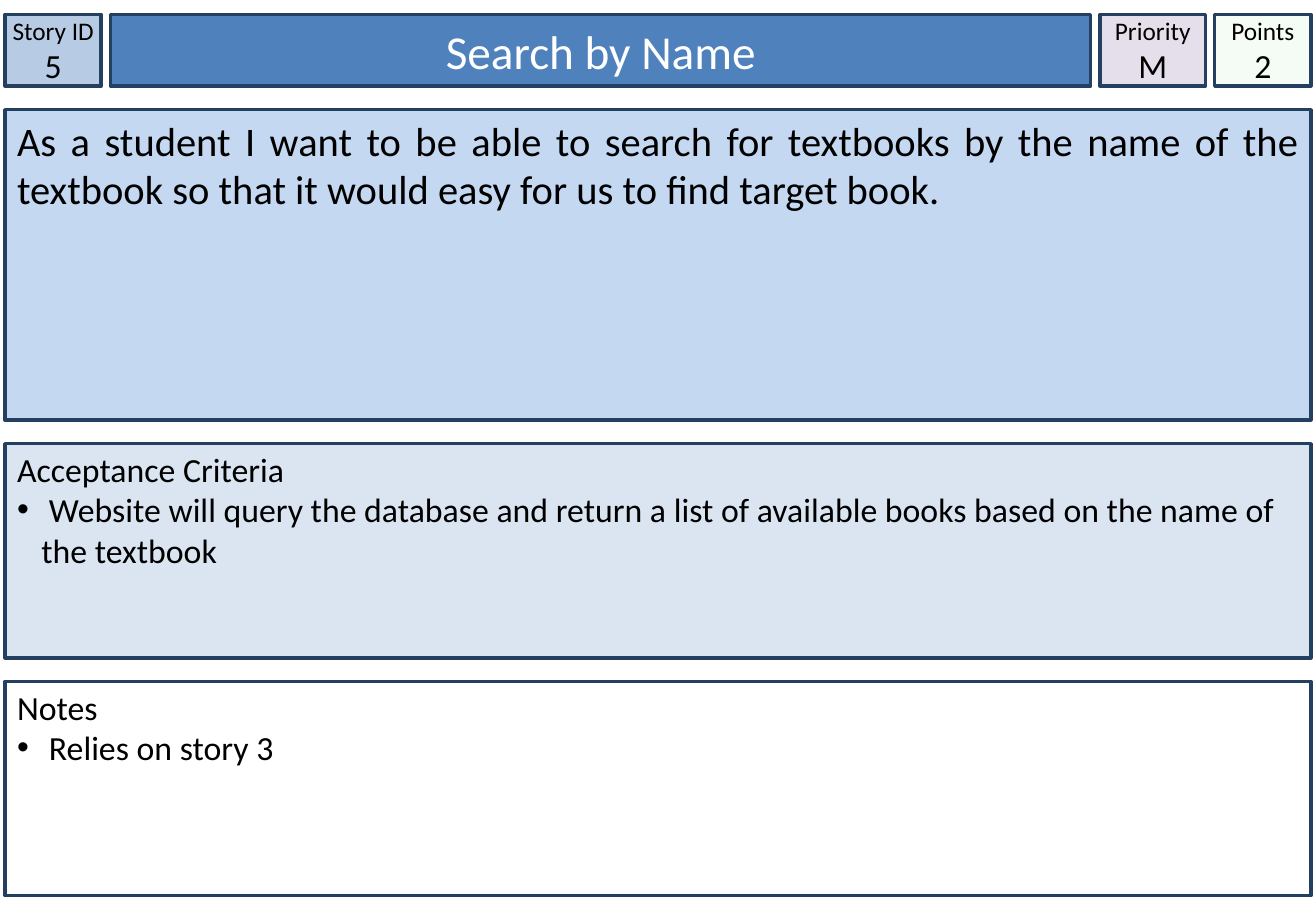
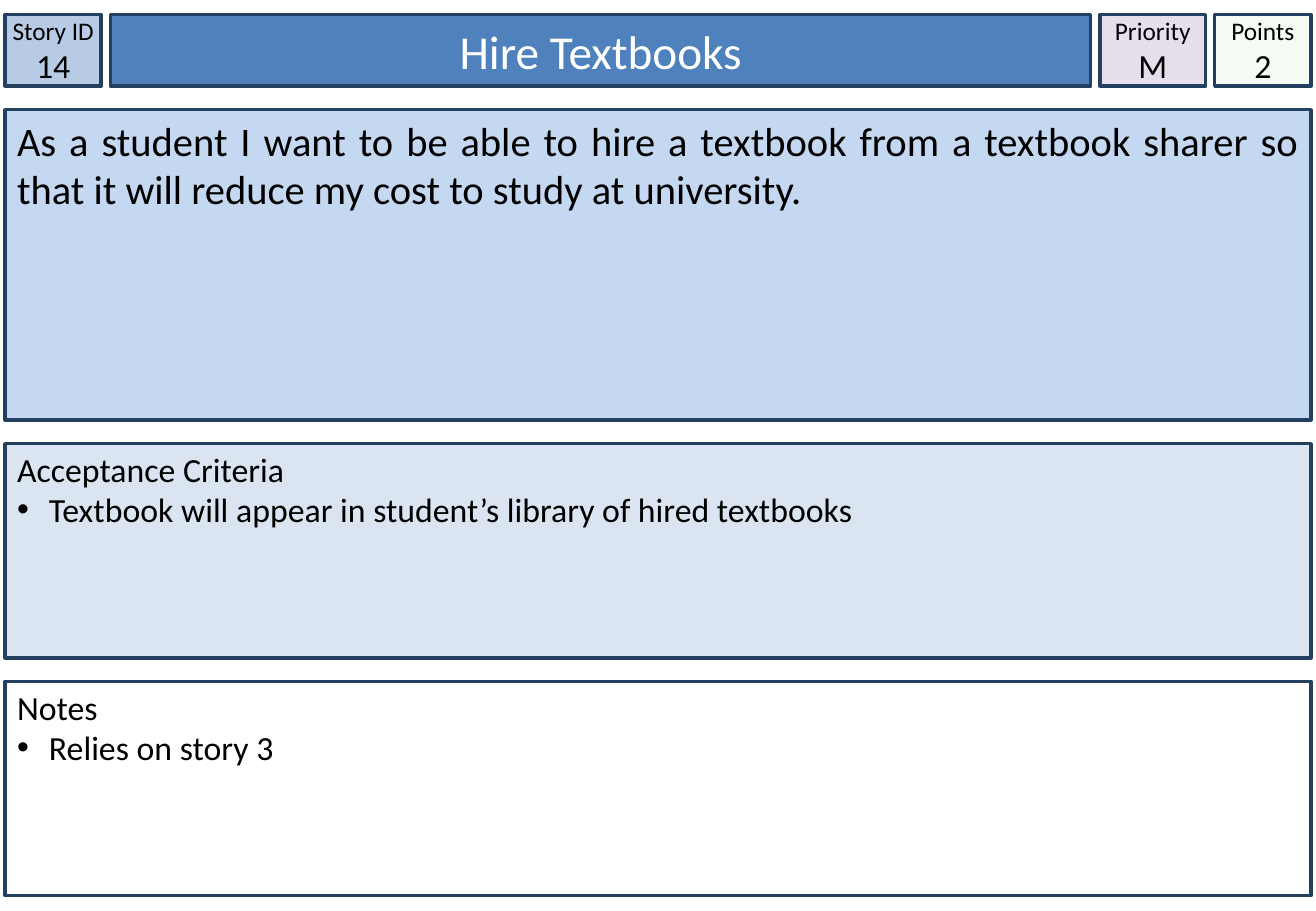
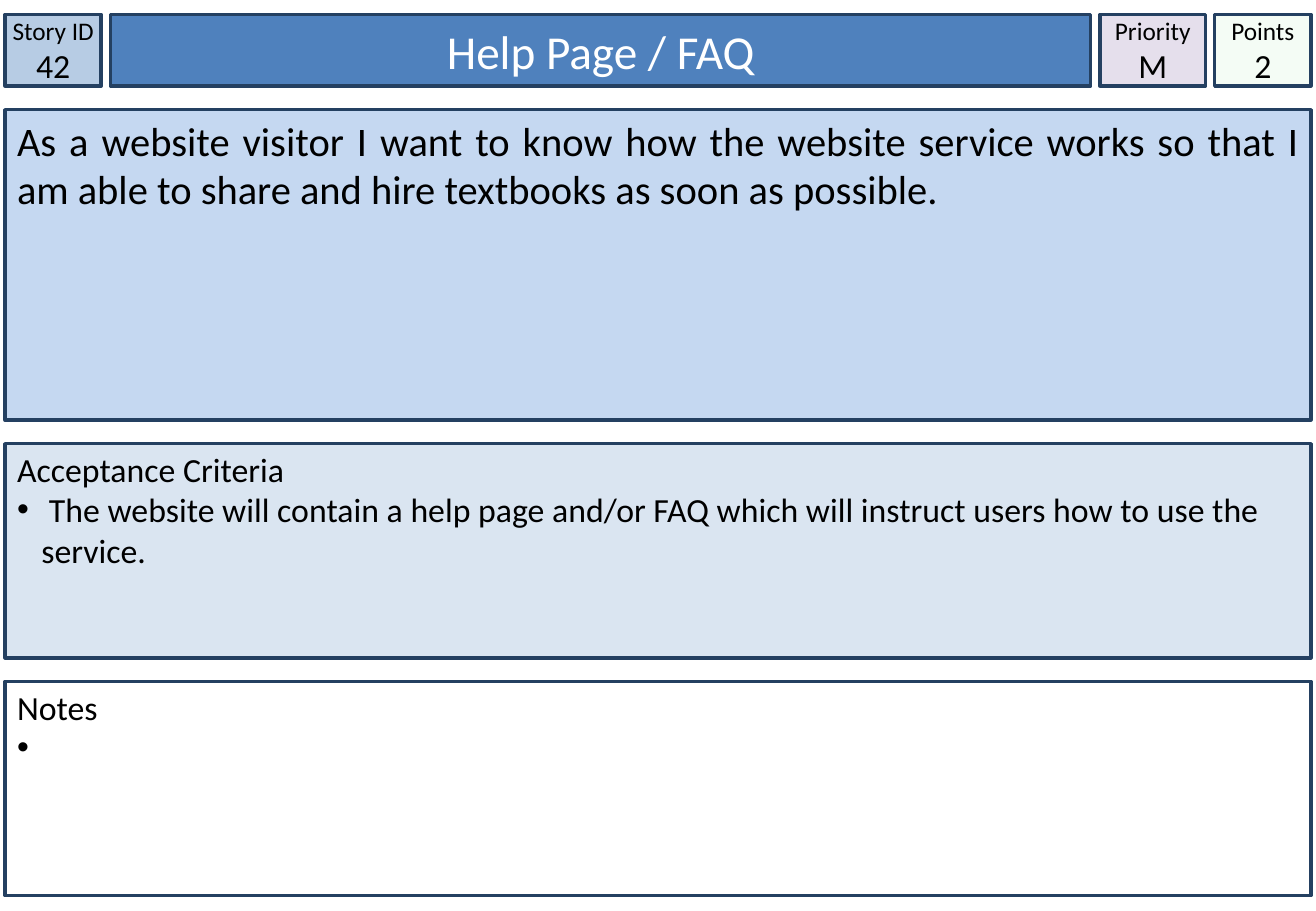
from dataclasses import dataclass
from typing import Any

import lxml.etree
import pptx
import pptx.dml.color
import pptx.enum.shapes
import pptx.enum.text
import pptx.oxml.ns
import pptx.util

Pt = pptx.util.Pt
Align = pptx.enum.text.PP_ALIGN
Anchor = pptx.enum.text.MSO_ANCHOR
qn = pptx.oxml.ns.qn


# Theme and layout, all lengths in points
@dataclass(frozen=True)
class Theme:
    font: str = "Calibri"
    ink: str = "000000"
    white: str = "FFFFFF"
    edge: str = "244061"
    head: str = "4F81BD"
    code: str = "B7CCE4"
    rank: str = "E5DFEC"
    score: str = "CCF0CD"
    story: str = "C5D8F1"
    tests: str = "DAE5F1"
    title: float = 28
    lead: float = 24
    body: float = 20
    label: float = 15
    line: float = 2


THEME = Theme()
PAGE = (780, 540)
LEFT, TOP, WIDTH = 3, 8.5, 774
GAP_X, GAP_Y = 5.5, 14
COLS = (57, 581, 62.5, 57)
ROWS = (42.5, 184, 127, 127)
INDENT = 14.4


@dataclass(frozen=True)
class Box:
    left: float
    top: float
    width: float
    height: float


@dataclass(frozen=True)
class Story:
    code: str
    title: str
    text: str
    test: str
    note: str
    rank: str = "M"
    score: str = "2"


STORIES = (
    Story(
        "5",
        "Search by Name",
        "As a student I want to be able to search for textbooks by the name of "
        "the textbook so that it would easy for us to find target book.",
        " Website will query the database and return a list of available books "
        "based on the name of the textbook",
        " Relies on story 3",
    ),
    Story(
        "14",
        "Hire Textbooks",
        "As a student I want to be able to hire a textbook from a textbook "
        "sharer so that it will reduce my cost to study at university.",
        " Textbook will appear in student’s library of hired textbooks",
        " Relies on story 3",
    ),
    Story(
        "42",
        "Help Page / FAQ",
        "As a website visitor I want to know how the website service works so "
        "that I am able to share and hire textbooks as soon as possible.",
        " The website will contain a help page and/or FAQ which will instruct "
        "users how to use the service.",
        " ",
    ),
)


def starts(first: float, sizes: tuple[float, ...], gap: float) -> list[float]:
    """Start of each item in a run of sizes with equal gaps."""
    return [first + sum(sizes[:i]) + gap * i for i in range(len(sizes))]


COL_X = starts(LEFT, COLS, GAP_X)
ROW_Y = starts(TOP, ROWS, GAP_Y)


def cell(col: int) -> Box:
    return Box(COL_X[col], TOP, COLS[col], ROWS[0])


def band(row: int) -> Box:
    return Box(LEFT, ROW_Y[row], WIDTH, ROWS[row])


# Text
def write(frame: Any, text: str, *, size: float, color: str = THEME.ink,
          align: Any = Align.LEFT, bullet: bool = False) -> None:
    """Add one paragraph to a text frame."""
    para = frame.add_paragraph() if frame.text else frame.paragraphs[0]
    para.alignment = align
    run = para.add_run()
    run.text = text
    run.font.name = THEME.font
    run.font.size = Pt(size)
    run.font.color.rgb = pptx.dml.color.RGBColor.from_string(color)
    if bullet:
        props = para._p.get_or_add_pPr()
        props.set("marL", str(Pt(INDENT)))
        props.set("indent", str(-Pt(INDENT)))
        tint = lxml.etree.SubElement(props, qn("a:buClr"))
        lxml.etree.SubElement(tint, qn("a:srgbClr"), val=color)
        lxml.etree.SubElement(props, qn("a:buFont"), typeface="Arial")
        lxml.etree.SubElement(props, qn("a:buChar"), char="•")


# Panels
def style(shape: Any, fill: str, *, anchor: Any = Anchor.TOP, side: float = 7.2,
          top: float = 3.6, alpha: int = 100) -> Any:
    """Fill and frame a shape, and return its text frame."""
    shape.fill.solid()
    shape.fill.fore_color.rgb = pptx.dml.color.RGBColor.from_string(fill)
    if alpha < 100:
        tint = shape.element.spPr.find(qn("a:solidFill")).find(qn("a:srgbClr"))
        lxml.etree.SubElement(tint, qn("a:alpha"), val=str(alpha * 1000))
    shape.line.color.rgb = pptx.dml.color.RGBColor.from_string(THEME.edge)
    shape.line.width = Pt(THEME.line)
    frame = shape.text_frame
    frame.word_wrap = True
    frame.auto_size = pptx.enum.text.MSO_AUTO_SIZE.NONE
    frame.vertical_anchor = anchor
    frame.margin_left = frame.margin_right = Pt(side)
    frame.margin_top, frame.margin_bottom = Pt(top), Pt(3.6)
    return frame


def panel(slide: Any, box: Box, fill: str, **look: Any) -> Any:
    shape = slide.shapes.add_shape(
        pptx.enum.shapes.MSO_SHAPE.RECTANGLE,
        Pt(box.left), Pt(box.top), Pt(box.width), Pt(box.height))
    shape.shadow.inherit = False
    return style(shape, fill, **look)


def header(slide: Any, text: str) -> None:
    shape, box = slide.shapes.title, cell(1)
    shape.left, shape.top = Pt(box.left), Pt(box.top)
    shape.width, shape.height = Pt(box.width), Pt(box.height)
    frame = style(shape, THEME.head, anchor=Anchor.MIDDLE)
    write(frame, text, size=THEME.title, color=THEME.white, align=Align.CENTER)


def badge(slide: Any, col: int, fill: str, label: str, value: str,
          alpha: int = 100) -> None:
    frame = panel(slide, cell(col), fill, anchor=Anchor.MIDDLE, side=0, alpha=alpha)
    write(frame, label, size=THEME.label, align=Align.CENTER)
    write(frame, value, size=THEME.body, align=Align.CENTER)


def section(slide: Any, row: int, fill: str, label: str, item: str) -> None:
    frame = panel(slide, band(row), fill, top=2.9)
    write(frame, label, size=THEME.body)
    write(frame, item, size=THEME.body, bullet=True)


# Story card
def card(deck: Any, story: Story) -> None:
    slide = deck.slides.add_slide(deck.slide_layouts.get_by_name("Title Only"))
    header(slide, story.title)
    badge(slide, 0, THEME.code, "Story ID", story.code)
    badge(slide, 2, THEME.rank, "Priority", story.rank)
    badge(slide, 3, THEME.score, "Points", story.score, alpha=20)
    frame = panel(slide, band(1), THEME.story)
    write(frame, story.text, size=THEME.lead, align=Align.JUSTIFY)
    section(slide, 2, THEME.tests, "Acceptance Criteria", story.test)
    section(slide, 3, THEME.white, "Notes", story.note)


def main() -> None:
    deck = pptx.Presentation()
    deck.slide_width, deck.slide_height = Pt(PAGE[0]), Pt(PAGE[1])
    for story in STORIES:
        card(deck, story)
    deck.save("out.pptx")


if __name__ == "__main__":
    main()
